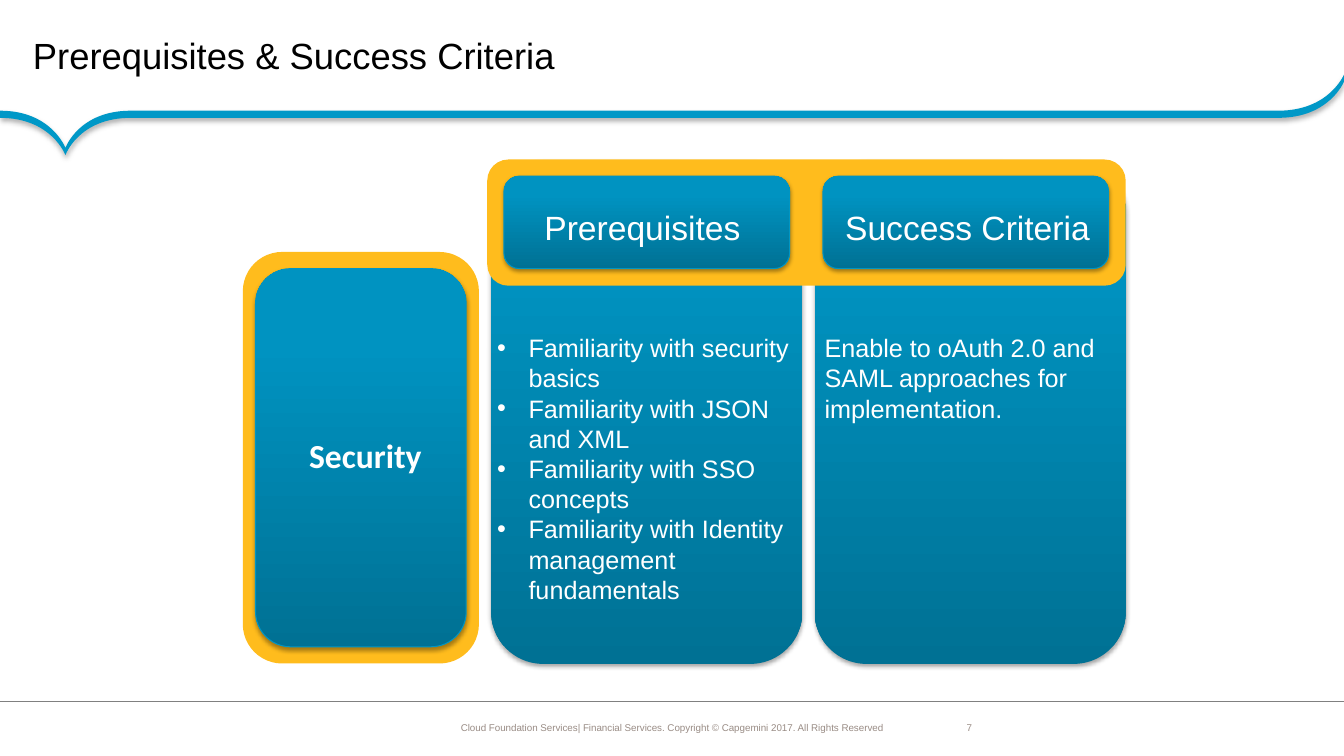
from lxml import etree
from pptx import Presentation
from pptx import util as u
from pptx.dml import color
from pptx.enum import shapes, text
from pptx.oxml import ns

Cm, Pt = u.Cm, u.Pt
COLORS = {
    "blue": "0098C7", "deep": "007194", "bright": "0093C1", "edge": "0095C3",
    "yellow": "FFBC1D", "white": "FFFFFF", "black": "000000",
    "grey": "998C85", "rule": "808080",
}


def add_shadow(shape, alpha, blur, distance):
    shape.shadow.inherit = False
    effects = shape._element.spPr.find(ns.qn("a:effectLst"))
    outer = etree.SubElement(
        effects, ns.qn("a:outerShdw"), blurRad=str(Pt(blur)),
        dist=str(Pt(distance)), dir="5400000", rotWithShape="0")
    black = etree.SubElement(outer, ns.qn("a:srgbClr"), val=COLORS["black"])
    etree.SubElement(black, ns.qn("a:alpha"), val=str(alpha * 1000))


def write(box, lines, size, tone, font="Arial", align=text.PP_ALIGN.LEFT,
          bold=False, bullet=False):
    frame = box.text_frame
    frame.text = "\n".join(lines)
    for para in frame.paragraphs:
        if bullet:
            props = para._p.get_or_add_pPr()
            props.set("marL", str(Cm(0.79)))
            props.set("indent", str(-Cm(0.79)))
            etree.SubElement(props, ns.qn("a:buFont"), typeface="Arial")
            etree.SubElement(props, ns.qn("a:buChar"), char="•")
        para.alignment = align
        para.font.name = font
        para.font.size = Pt(size)
        para.font.bold = bold
        para.font.color.rgb = color.RGBColor.from_string(COLORS[tone])


deck = Presentation()
deck.slide_width, deck.slide_height = Cm(33.87), Cm(19.05)
page = deck.slides.add_slide(deck.slide_layouts[5])

ribbon_start = (32.22, 2.79)
ribbon_curves = [
    [(32.22, 2.79), (3.3, 2.79), (3.3, 2.79)],
    [(1.98, 2.79), (1.65, 3.73), (1.65, 3.73)],
    [(1.65, 3.73), (1.3, 2.79), (0, 2.79)],
    [(0, 2.79), (0, 2.97), (0, 2.97)],
    [(1.3, 2.97), (1.65, 3.91), (1.65, 3.91)],
    [(1.65, 3.91), (1.98, 2.97), (3.3, 2.97)],
    [(3.3, 2.97), (32.22, 2.97), (32.22, 2.97)],
    [(33.5, 2.97), (33.87, 2.06), (33.87, 2.06)],
    [(33.87, 2.06), (33.87, 1.88), (33.87, 1.88)],
    [(33.87, 1.88), (33.5, 2.79), (32.22, 2.79)],
]
builder = page.shapes.build_freeform(*map(Cm, ribbon_start), scale=1.0)
builder.add_line_segments([tuple(map(Cm, curve[-1])) for curve in ribbon_curves])
ribbon = builder.convert_to_shape()
segments = list(ribbon._element.iter(ns.qn("a:lnTo")))
for segment, curve in zip(segments, ribbon_curves):
    segment.tag = ns.qn("a:cubicBezTo")
    for child in list(segment):
        segment.remove(child)
    for x, y in curve:
        etree.SubElement(segment, ns.qn("a:pt"), x=str(Cm(x) - ribbon.left),
                         y=str(Cm(y) - ribbon.top))
etree.SubElement(segments[-1].getparent(), ns.qn("a:close"))
ribbon.fill.solid()
ribbon.fill.fore_color.rgb = color.RGBColor.from_string(COLORS["blue"])
ribbon.line.fill.background()
add_shadow(ribbon, 31, 4, 2)

rule = page.shapes.add_connector(
    shapes.MSO_CONNECTOR.STRAIGHT, Cm(33.87), Cm(17.67), Cm(0), Cm(17.67))
rule.line.color.rgb = color.RGBColor.from_string(COLORS["rule"])
rule.line.width = Pt(0.75)
etree.SubElement(rule._element.spPr, ns.qn("a:effectLst"))

footers = [
    ("7", 24.28, 18.19, 0.3, 0.3, 0),
    ("Cloud Foundation Services| Financial Services. Copyright © Capgemini 2017. "
     "All Rights Reserved", 10.14, 17.98, 13.59, 0.69, 0.1),
]
for label, left, top, width, height, inset in footers:
    box = page.shapes.add_textbox(Cm(left), Cm(top), Cm(width), Cm(height))
    frame = box.text_frame
    frame.word_wrap = False
    frame.vertical_anchor = text.MSO_ANCHOR.MIDDLE
    frame.margin_left = frame.margin_right = Cm(inset)
    frame.margin_top = frame.margin_bottom = Cm(inset)
    write(box, [label], 7, "grey", align=text.PP_ALIGN.CENTER)

title = page.shapes.title
title.left, title.top, title.width, title.height = Cm(0), Cm(0), Cm(33.87), Cm(2.79)
frame = title.text_frame
frame.auto_size = text.MSO_AUTO_SIZE.NONE
frame.word_wrap = True
frame.vertical_anchor = text.MSO_ANCHOR.MIDDLE
frame.margin_left, frame.margin_right = Cm(0.83), Cm(0.46)
frame.margin_top = frame.margin_bottom = Cm(0.1)
write(title, ["Prerequisites & Success Criteria"], 26, "black")

cards = [
    ("panel", 20.53, 4.04, 7.84, 12.69),
    ("panel", 12.38, 4.04, 7.84, 12.69),
    ("frame", 12.28, 4.02, 16.09, 3.18),
    ("button", 12.7, 4.44, 7.2, 2.33),
    ("button", 20.74, 4.44, 7.2, 2.33),
    ("frame", 6.12, 6.35, 5.95, 10.37),
    ("button", 6.44, 6.77, 5.31, 9.53),
]
for kind, left, top, width, height in cards:
    card = page.shapes.add_shape(
        shapes.MSO_SHAPE.ROUNDED_RECTANGLE, Cm(left), Cm(top), Cm(width), Cm(height))
    if kind == "frame":
        card.fill.solid()
        card.fill.fore_color.rgb = color.RGBColor.from_string(COLORS["yellow"])
        card.shadow.inherit = False
    else:
        card.fill.gradient()
        card.fill.gradient_angle = 90
        stops = zip(card.fill.gradient_stops, (0, 0.8), ("deep", "bright"))
        for stop, position, tone in stops:
            stop.position = position
            stop.color.rgb = color.RGBColor.from_string(COLORS[tone])
        add_shadow(card, 35, 3.1, 1.8)
    if kind == "button":
        card.line.color.rgb = color.RGBColor.from_string(COLORS["edge"])
        card.line.width = Pt(0.75)
    else:
        card.line.fill.background()

prerequisites = [
    "Familiarity with security basics",
    "Familiarity with JSON and XML",
    "Familiarity with SSO concepts",
    "Familiarity with Identity management fundamentals",
]
criteria = ["Enable to oAuth 2.0 and SAML approaches for implementation."]
labels = [
    (["Security"], 7.19, 10.83, 4.04, 1.27, 24,
     {"font": "Calibri", "align": text.PP_ALIGN.CENTER, "bold": True}),
    (["Prerequisites"], 13.47, 5.08, 5.92, 1.27, 24, {}),
    (["Success Criteria"], 21.05, 5.08, 7.67, 1.27, 24, {}),
    (prerequisites, 12.28, 8.25, 7.92, 8.03, 18, {"bullet": True}),
    (criteria, 20.53, 8.25, 7.83, 3.68, 18, {}),
]
for lines, left, top, width, height, size, style in labels:
    box = page.shapes.add_textbox(Cm(left), Cm(top), Cm(width), Cm(height))
    box.text_frame.word_wrap = True
    write(box, lines, size, "white", **style)

deck.save("out.pptx")
